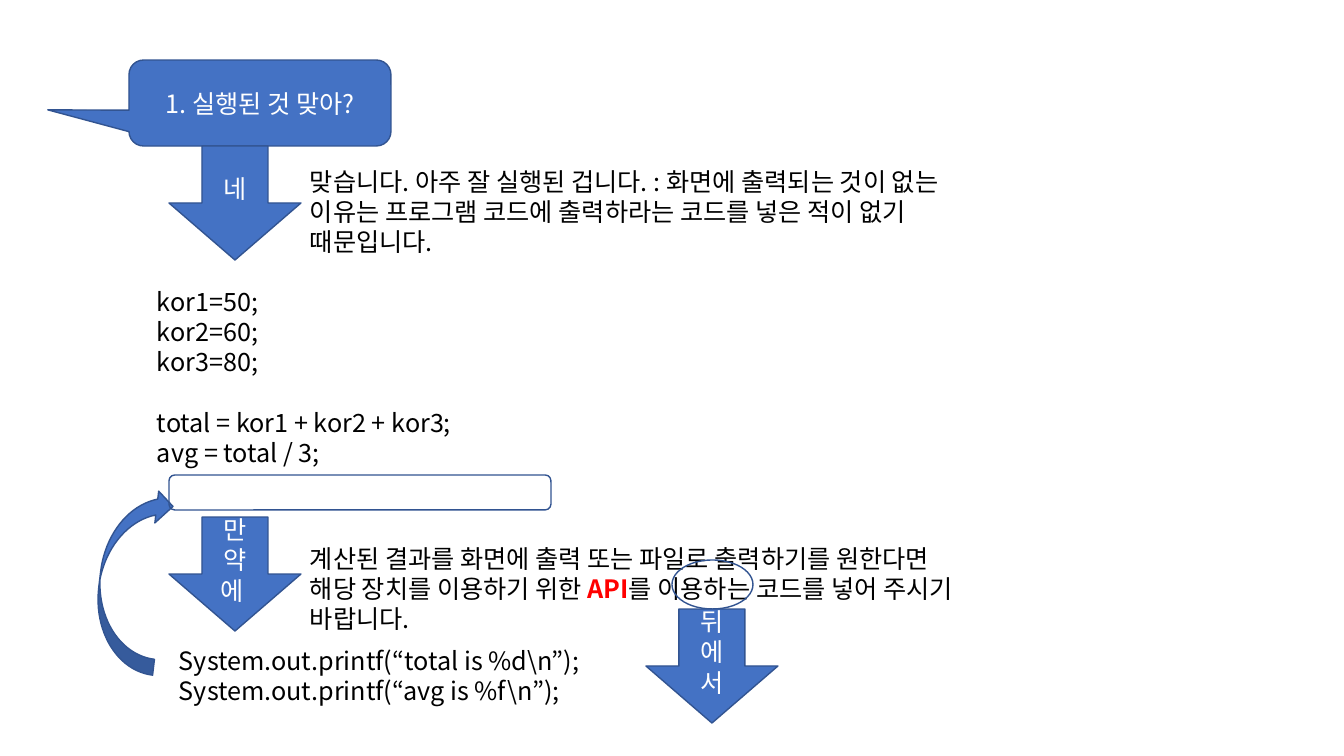
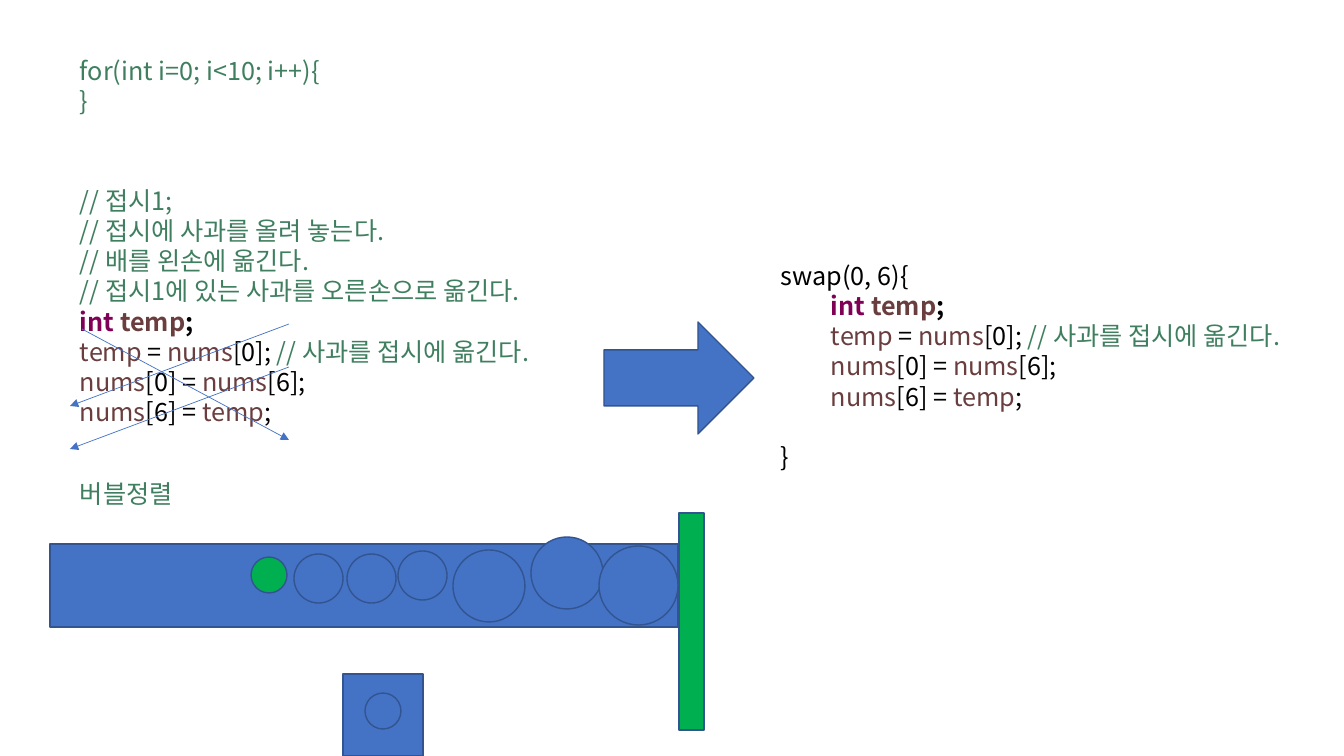
from dataclasses import dataclass
from typing import Any, NamedTuple, Optional

from lxml import etree
from pptx import Presentation
from pptx import util as u
from pptx.dml import color
from pptx.enum import shapes, text
from pptx.oxml import ns

KIND = shapes.MSO_SHAPE
EMU_PER_PIXEL = 914400 / 100.8


@dataclass(frozen=True)
class Theme:
    font: str = "Noto Sans CJK KR"
    size: float = 18
    line_height: float = 21.6
    outline_width: float = 1
    arrow_width: float = 0.5
    black: str = "000000"
    white: str = "FFFFFF"
    red: str = "FF0000"
    blue: str = "4472C4"
    outline: str = "325491"
    green: str = "00B050"
    comment: str = "3F7F5F"
    keyword: str = "7F0055"
    variable: str = "6A3E3E"


THEME = Theme()


class Box(NamedTuple):
    left: int
    top: int
    width: int
    height: int


class Piece(NamedTuple):
    text: str
    color: str = THEME.black
    bold: bool = False


@dataclass(frozen=True)
class Line:
    pieces: tuple[Piece, ...]
    indent: int = 0
    gap_lines: int = 0


@dataclass(frozen=True)
class Figure:
    kind: Any
    box: Box
    fill: Optional[str] = THEME.blue
    label: str = ""
    rotation: float = 0
    adjustments: tuple[float, ...] = ()


@dataclass(frozen=True)
class TextBlock:
    box: Box
    lines: tuple[Line, ...]


class Arrow(NamedTuple):
    start_x: int
    start_y: int
    end_x: int
    end_y: int


def px(pixels: int) -> u.Emu:
    return u.Emu(round(pixels * EMU_PER_PIXEL))


def rgb(value: str) -> color.RGBColor:
    return color.RGBColor.from_string(value)


def plain(*rows: str, tint: str = THEME.black, indent: int = 0) -> tuple[Line, ...]:
    return tuple(Line((Piece(row, tint),), indent) for row in rows)


def write_line(paragraph: Any, line: Line) -> None:
    paragraph.font.size = u.Pt(THEME.size)
    paragraph.line_spacing = u.Pt(THEME.line_height)
    if line.gap_lines:
        paragraph.space_before = u.Pt(line.gap_lines * THEME.line_height)
    if line.indent:
        properties = paragraph._p.get_or_add_pPr()
        properties.set("marL", str(px(line.indent)))
        properties.set("indent", "0")
    for piece in line.pieces:
        run = paragraph.add_run()
        run.text = piece.text
        run.font.name = THEME.font
        run.font.bold = piece.bold
        run.font.color.rgb = rgb(piece.color)
        east_asian = etree.SubElement(run._r.get_or_add_rPr(), ns.qn("a:ea"))
        east_asian.set("typeface", THEME.font)


def draw_figure(slide: Any, figure: Figure) -> None:
    shape = slide.shapes.add_shape(figure.kind, *map(px, figure.box))
    shape.shadow.inherit = False
    shape.rotation = figure.rotation
    for index, value in enumerate(figure.adjustments):
        shape.adjustments[index] = value
    if figure.fill:
        shape.fill.solid()
        shape.fill.fore_color.rgb = rgb(figure.fill)
    else:
        shape.fill.background()
    shape.line.color.rgb = rgb(THEME.outline)
    shape.line.width = u.Pt(THEME.outline_width)
    if figure.label:
        frame = shape.text_frame
        frame.word_wrap = True
        frame.vertical_anchor = text.MSO_ANCHOR.MIDDLE
        paragraph = frame.paragraphs[0]
        paragraph.alignment = text.PP_ALIGN.CENTER
        write_line(paragraph, Line((Piece(figure.label, THEME.white),)))


def draw_text(slide: Any, block: TextBlock) -> None:
    frame = slide.shapes.add_textbox(*map(px, block.box)).text_frame
    frame.word_wrap = True
    frame.auto_size = text.MSO_AUTO_SIZE.SHAPE_TO_FIT_TEXT
    for index, line in enumerate(block.lines):
        paragraph = frame.add_paragraph() if index else frame.paragraphs[0]
        write_line(paragraph, line)


def draw_arrow(slide: Any, arrow: Arrow) -> None:
    connector = slide.shapes.add_connector(
        shapes.MSO_CONNECTOR.STRAIGHT, *map(px, arrow)
    )
    connector.line.color.rgb = rgb(THEME.blue)
    connector.line.width = u.Pt(THEME.arrow_width)
    head = etree.SubElement(connector.line._get_or_add_ln(), ns.qn("a:tailEnd"))
    head.set("type", "triangle")
    etree.SubElement(connector._element.spPr, ns.qn("a:effectLst"))


def draw_slide(presentation: Any, items: tuple[Any, ...]) -> None:
    slide = presentation.slides.add_slide(presentation.slide_layouts[6])
    painters = {Figure: draw_figure, TextBlock: draw_text, Arrow: draw_arrow}
    for item in items:
        painters[type(item)](slide, item)


def step_arrow(left: int, top: int, label: str) -> Figure:
    return Figure(KIND.DOWN_ARROW, Box(left, top, 132, 114), label=label)


def ball(left: int, top: int, diameter: int, fill: str = THEME.blue) -> Figure:
    return Figure(KIND.OVAL, Box(left, top, diameter, diameter), fill)


def swap_lines(indent: int = 0) -> tuple[Line, ...]:
    temp = Piece("temp", THEME.variable)
    nums = Piece("nums", THEME.variable)
    rows = (
        (
            Piece("int ", THEME.keyword, True),
            Piece("temp", THEME.variable, True),
            Piece(";", bold=True),
        ),
        (
            Piece("temp ", THEME.variable),
            Piece("= "),
            nums,
            Piece("[0]; "),
            Piece("// 사과를 접시에 옮긴다.", THEME.comment),
        ),
        (nums, Piece("[0] = "), nums, Piece("[6];")),
        (nums, Piece("[6] = "), temp, Piece(";")),
    )
    return tuple(Line(row, indent) for row in rows)


CODE_INDENT = 45
TEXT_WIDTH = 672

PRINTING = (
    Figure(
        KIND.ROUNDED_RECTANGULAR_CALLOUT,
        Box(129, 60, 262, 86),
        label="1. 실행된 것 맞아?",
        adjustments=(-0.81, 0.08, 0.17),
    ),
    TextBlock(
        Box(102, 281, TEXT_WIDTH, 194),
        plain("kor1=50;", "kor2=60;", "kor3=80;", indent=CODE_INDENT)
        + (Line((Piece("total = kor1 + kor2 + kor3;"),), CODE_INDENT, 1),)
        + plain("avg = total / 3;", indent=CODE_INDENT),
    ),
    step_arrow(169, 146, "네"),
    step_arrow(169, 517, "만약에 "),
    TextBlock(
        Box(300, 538, TEXT_WIDTH, 102),
        (
            Line(
                (
                    Piece(
                        "계산된 결과를 화면에 출력 또는 파일로 출력하기를 원한다면 "
                        "해당 장치를 이용하기 위한 "
                    ),
                    Piece("API", THEME.red, True),
                    Piece("를 이용하는 코드를 넣어 주시기 바랍니다."),
                )
            ),
        ),
    ),
    TextBlock(
        Box(169, 640, TEXT_WIDTH, 72),
        plain("System.out.printf(“total is %d\\n”);", "System.out.printf(“avg is %f\\n”);"),
    ),
    Figure(KIND.CURVED_DOWN_ARROW, Box(39, 547, 186, 64), rotation=276.9),
    Figure(KIND.ROUNDED_RECTANGLE, Box(169, 475, 382, 35), fill=None),
    TextBlock(
        Box(300, 161, TEXT_WIDTH, 102),
        plain(
            "맞습니다. 아주 잘 실행된 겁니다. : 화면에 출력되는 것이 없는 이유는 "
            "프로그램 코드에 출력하라는 코드를 넣은 적이 없기 때문입니다."
        ),
    ),
    Figure(KIND.OVAL, Box(672, 560, 81, 49), fill=None),
    step_arrow(646, 609, "뒤에서"),
)

SORTING = (
    Figure(KIND.RECTANGLE, Box(343, 674, 80, 82)),
    TextBlock(
        Box(70, 180, TEXT_WIDTH, 254),
        plain(
            "// 접시1;",
            "// 접시에 사과를 올려 놓는다.",
            "// 배를 왼손에 옮긴다.",
            "// 접시1에 있는 사과를 오른손으로 옮긴다.",
            tint=THEME.comment,
        )
        + swap_lines(),
    ),
    TextBlock(
        Box(70, 50, TEXT_WIDTH, 72),
        plain("for(int i=0; i<10; i++){", "}", tint=THEME.comment),
    ),
    Arrow(289, 324, 70, 406),
    Arrow(289, 367, 70, 449),
    Arrow(82, 329, 289, 440),
    Figure(KIND.RIGHT_ARROW, Box(604, 322, 150, 112)),
    TextBlock(
        Box(771, 255, 570, 224),
        plain("swap(0, 6){") + swap_lines(50) + (Line((Piece("}"),), gap_lines=1),),
    ),
    TextBlock(Box(70, 473, TEXT_WIDTH, 40), plain("버블정렬", tint=THEME.comment)),
    Figure(KIND.RECTANGLE, Box(679, 513, 25, 217), THEME.green),
    Figure(KIND.RECTANGLE, Box(50, 544, 628, 83)),
    ball(294, 554, 49),
    ball(531, 537, 72),
    ball(347, 554, 49),
    ball(365, 693, 36),
    ball(398, 551, 49),
    ball(599, 546, 79),
    ball(453, 550, 72),
    ball(251, 557, 36, THEME.green),
)


def main() -> None:
    presentation = Presentation()
    presentation.slide_width = px(1344)
    presentation.slide_height = px(756)
    for items in (PRINTING, SORTING):
        draw_slide(presentation, items)
    presentation.save("out.pptx")


main()
